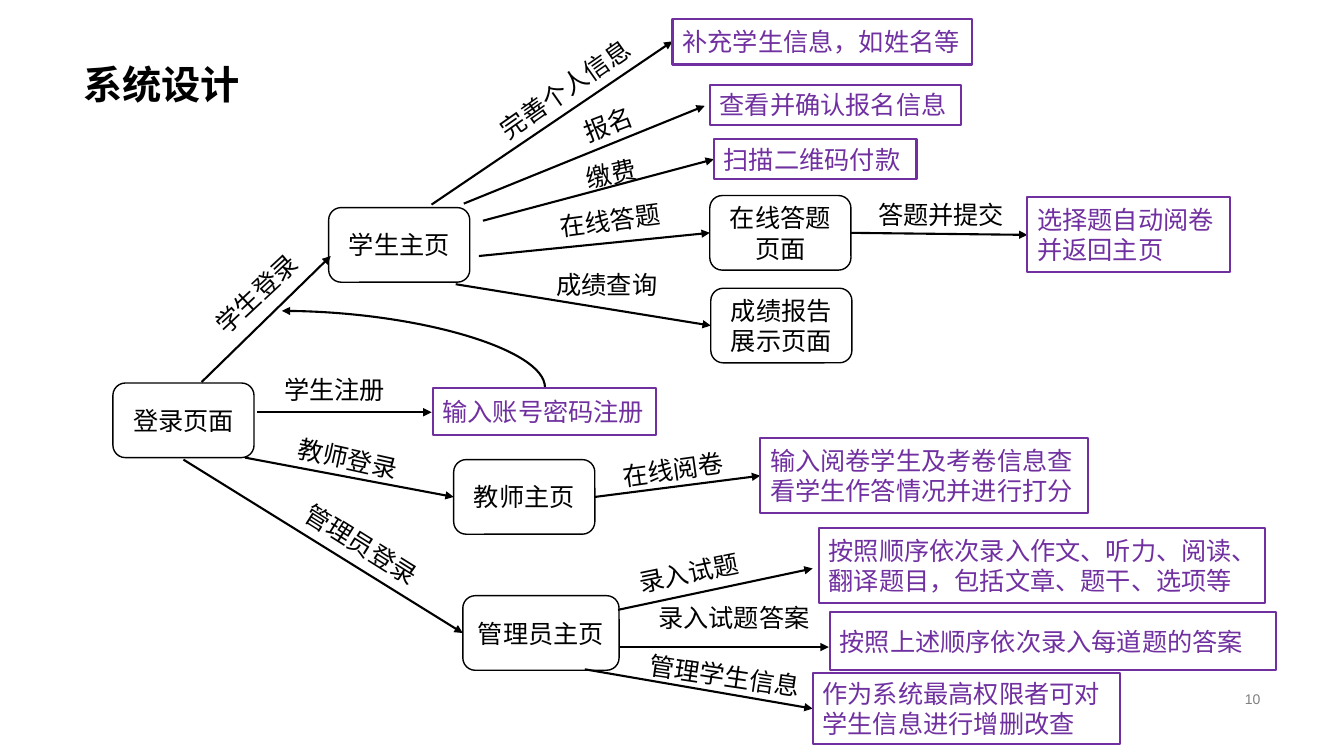
"""Build the system design slide: login, student, teacher and admin flows."""
from lxml.etree import SubElement
from pptx import Presentation
from pptx.dml.color import RGBColor
from pptx.enum.shapes import MSO_CONNECTOR as Link, MSO_SHAPE as Shape
from pptx.enum.text import MSO_ANCHOR as Anchor, PP_ALIGN as Align
from pptx.oxml.ns import qn
from pptx.util import Pt

PX = 9144
THEME = {
    "font": "Arial",
    "ink": RGBColor(0x00, 0x00, 0x00),
    "paper": RGBColor(0xFF, 0xFF, 0xFF),
    "action": RGBColor(0x70, 0x30, 0xA0),
    "muted": RGBColor(0x80, 0x80, 0x80),
    "title": Pt(28),
    "body": Pt(18),
    "small": Pt(10),
    "page_line": Pt(1),
    "line": Pt(1.5),
}

deck = Presentation()
deck.slide_width, deck.slide_height = 1333 * PX, 750 * PX
page = deck.slides.add_slide(deck.slide_layouts[6])


def add_text(text, area, *, size="body", color="ink", bold=False, align=Align.LEFT,
             anchor=Anchor.TOP, turn=0, border=None, corner=None, spacing=None):
    """Add text in a plain box, or in a bordered one when a border is named."""
    left, top, width, height = [n * PX for n in area]
    if border:
        box = page.shapes.add_shape(Shape.ROUNDED_RECTANGLE, left, top, width, height)
        box.shadow.inherit = False
        box.fill.solid()
        box.fill.fore_color.rgb = THEME["paper"]
        box.line.color.rgb = THEME[color]
        box.line.width = THEME[border]
        if corner is not None:
            box.adjustments[0] = corner
    else:
        box = page.shapes.add_textbox(left, top, width, height)
    box.rotation = turn
    box.text_frame.word_wrap = True
    box.text_frame.vertical_anchor = anchor
    para = box.text_frame.paragraphs[0]
    para.alignment = align
    para.line_spacing = spacing
    span = para.add_run()
    span.text = text
    span.font.name = THEME["font"]
    span.font.size = THEME[size]
    span.font.bold = bold
    span.font.color.rgb = THEME[color]


def add_arrow(start, end, kind=Link.STRAIGHT):
    """Add a black arrow that points at its end."""
    arrow = page.shapes.add_connector(kind, *[n * PX for n in (*start, *end)])
    arrow.line.color.rgb = THEME["ink"]
    arrow.line.width = THEME["line"]
    SubElement(arrow.line._get_or_add_ln(), qn("a:tailEnd"), type="triangle")
    SubElement(arrow._element.spPr, qn("a:effectLst"))
    return arrow


add_text("系统设计", (73, 0, 1187, 112), size="title", bold=True,
         anchor=Anchor.BOTTOM, spacing=0.9)
add_text("10", (942, 682, 318, 23), size="small", color="muted",
         align=Align.RIGHT, anchor=Anchor.MIDDLE)

PAGES = [
    ("登录页面", 112, 380, 140),
    ("学生主页", 326, 206, 140),
    ("在线答题页面", 704, 194, 140),
    ("成绩报告展示页面", 705, 286, 140),
    ("教师主页", 450, 456, 140),
    ("管理员主页", 459, 591, 155),
]
for name, left, top, width in PAGES:
    add_text(name, (left, top, width, 74), border="page_line",
             align=Align.CENTER, anchor=Anchor.MIDDLE)

STEPS = [
    ("学生登录", (193, 268, 129, 40), 316.9, (200, 379), (328, 254)),
    ("学生注册", (272, 366, 129, 40), 0, (255, 409), (428, 409)),
    ("教师登录", (285, 436, 129, 40), 12.4, (243, 454), (450, 493)),
    ("管理员登录", (284, 528, 175, 40), 32.2, (182, 456), (459, 628)),
    ("完善个人信息", (475, 66, 177, 40), 325, (428, 203), (667, 41)),
    ("报名", (568, 102, 79, 40), 339, (460, 202), (699, 105)),
    ("缴费", (571, 151, 79, 40), 347.3, (479, 219), (708, 158)),
    ("在线答题", (545, 196, 158, 40), 352.3, (475, 254), (704, 231)),
    ("成绩查询", (542, 262, 129, 40), 0, (452, 282), (705, 323)),
    ("答题并提交", (861, 193, 158, 40), 0, (844, 231), (1019, 233)),
    ("在线阅卷", (608, 445, 128, 40), 352, (590, 493), (754, 472)),
    ("录入试题", (623, 547, 128, 40), 348.4, (613, 605), (806, 564)),
    ("录入试题答案", (643, 593, 179, 40), 0, (615, 642), (822, 642)),
    ("管理学生信息", (634, 651, 179, 40), 8.5, (580, 664), (806, 703)),
]
for label, area, turn, start, end in STEPS:
    add_arrow(start, end)
    add_text(label, area, turn=turn)

return_curve = add_arrow((372, 477), (448, 216), Link.CURVE)
curve_props = return_curve._element.spPr
curve_props.find(qn("a:xfrm")).set("rot", str(270 * 60000))
curve_props.find(qn("a:prstGeom")).set("prst", "curvedConnector2")

ACTIONS = [
    ("补充学生信息，如姓名等", (667, 19, 297, 45)),
    ("查看并确认报名信息", (704, 84, 249, 40)),
    ("扫描二维码付款", (708, 138, 201, 40)),
    ("选择题自动阅卷并返回主页", (1019, 195, 201, 75)),
    ("输入账号密码注册", (429, 385, 222, 47)),
    ("输入阅卷学生及考卷信息查看学生作答情况并进行打分", (754, 435, 325, 74)),
    ("按照顺序依次录入作文、听力、阅读、翻译题目，包括文章、题干、选项等", (812, 524, 443, 74)),
    ("按照上述顺序依次录入每道题的答案", (823, 607, 443, 58)),
    ("作为系统最高权限者可对学生信息进行增删改查", (806, 668, 305, 70)),
]
for action, area in ACTIONS:
    add_text(action, area, color="action", border="line", corner=0, anchor=Anchor.MIDDLE)

deck.save("out.pptx")
